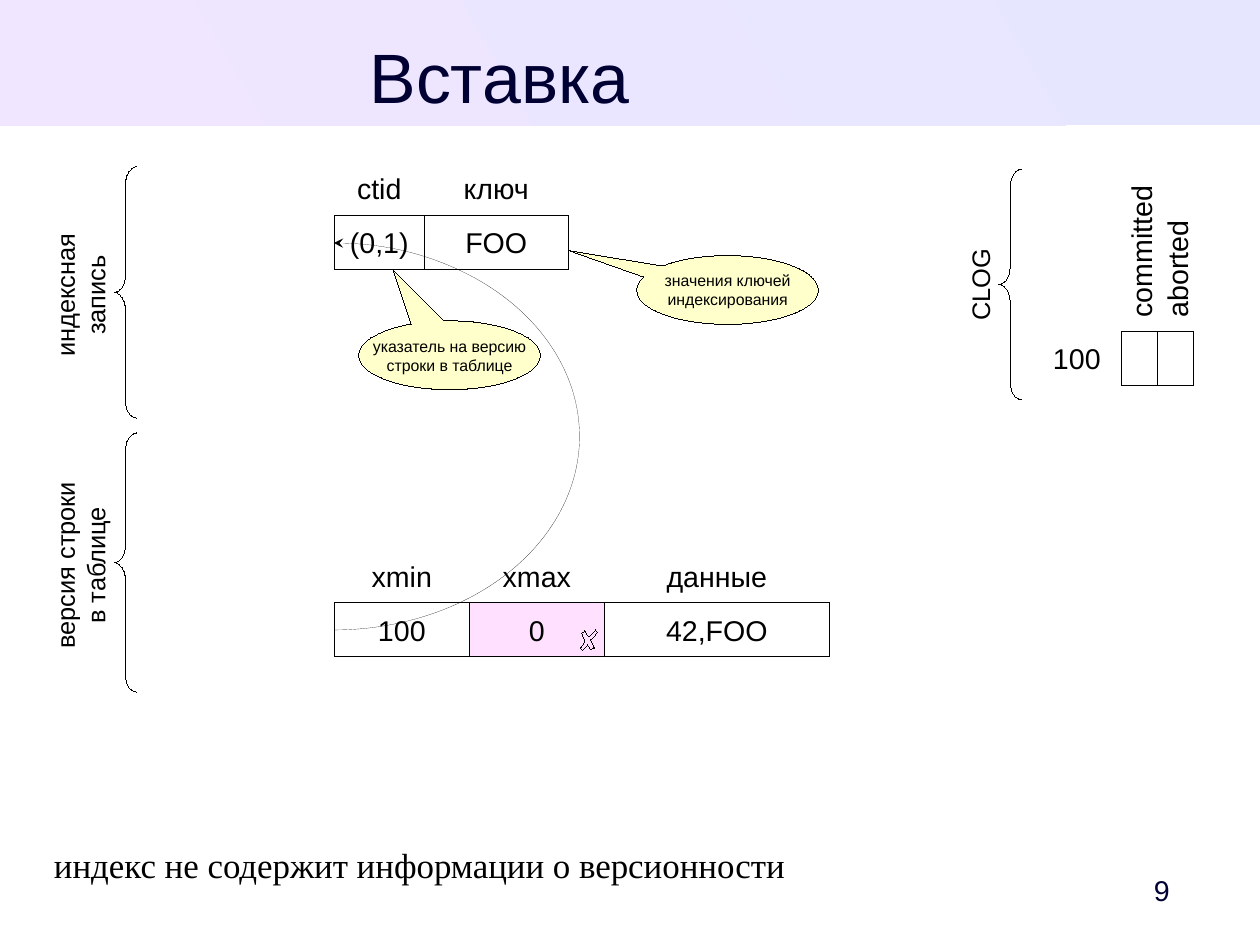
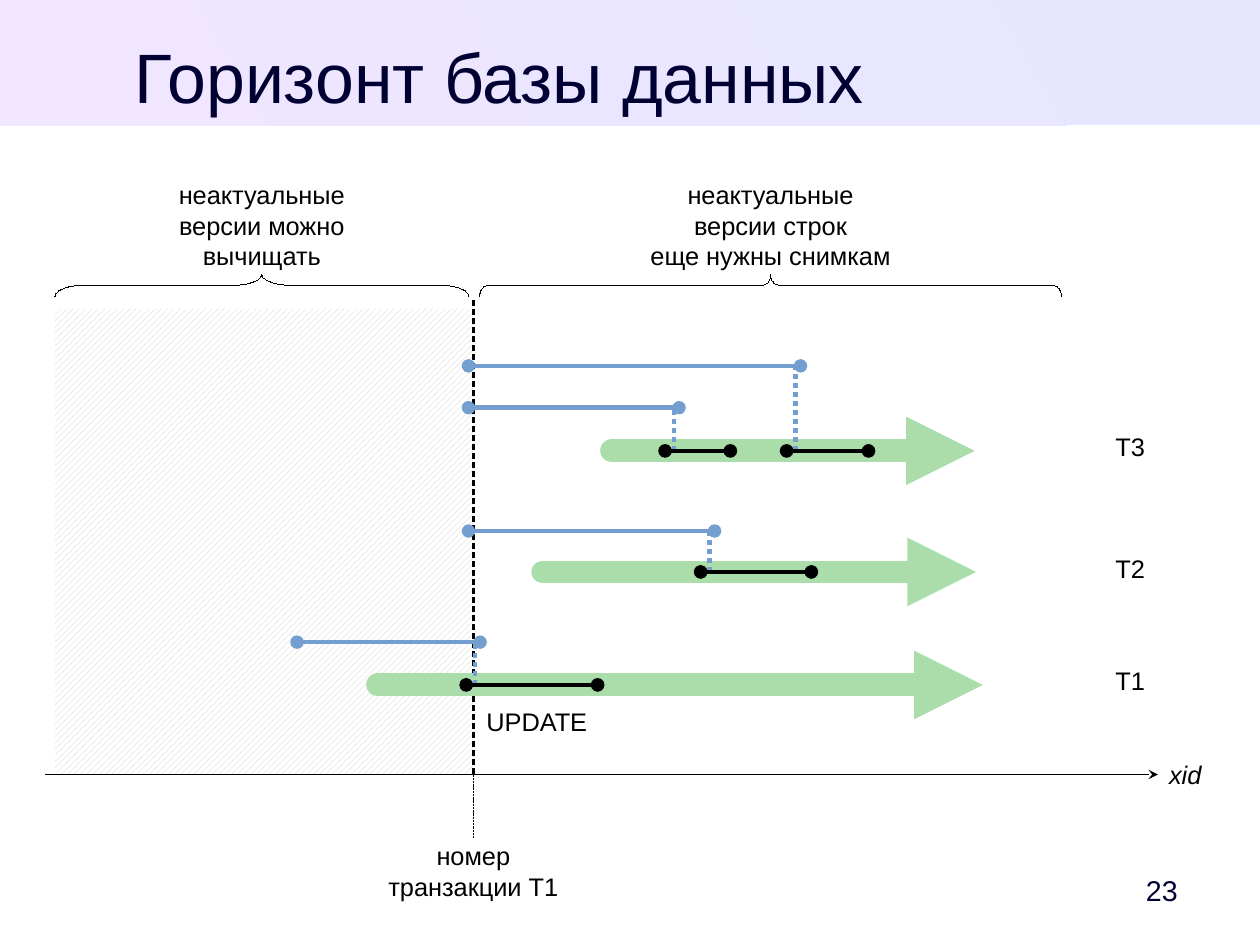
import pptx
import pptx.util
import pptx.dml.color
import pptx.enum.dml
import pptx.enum.shapes
import pptx.enum.text
import pptx.oxml.ns
import lxml.etree

SHAPE = pptx.enum.shapes.MSO_SHAPE
ALIGN = pptx.enum.text.PP_ALIGN
DASH = pptx.enum.dml.MSO_LINE

# Shared look: a grid of 28 columns and 21 rows, colours, text formats
WIDTH, HEIGHT = pptx.util.Cm(28), pptx.util.Cm(21)
COL, ROW = WIDTH / 28, HEIGHT / 21
HAIRLINE = 0.01
COLORS = {
    "ink": "000000", "title": "000033", "paper": "FFFFFF",
    "band_right": "E6E6FF", "band_left": "F0E6FF",
    "unset": "FFE1FF", "callout": "FFFFCC",
    "transaction": "AADDAA", "snapshot": "729FCF", "hatch": "CCCCCC",
}
FORMATS = {
    "title": {"name": "Arial", "size": pptx.util.Pt(44)},
    "cell": {"name": "Arial", "size": pptx.util.Pt(18)},
    "label": {"name": "Arial", "size": pptx.util.Pt(16)},
    "axis": {"name": "Arial", "size": pptx.util.Pt(16), "italic": True},
    "callout": {"name": "Arial", "size": pptx.util.Pt(10)},
    "remark": {"name": "Times New Roman", "size": pptx.util.Pt(22)},
}
FRAME = {
    "margin_left": 0, "margin_right": 0, "margin_top": 0, "margin_bottom": 0,
    "word_wrap": False, "vertical_anchor": pptx.enum.text.MSO_ANCHOR.MIDDLE,
}


def rgb(color):
    return pptx.dml.color.RGBColor.from_string(COLORS[color])


def frame(at, turn=0):
    """Turn a visible rectangle in columns and rows into the unrotated frame."""
    left, top, width, height = at[0] * COL, at[1] * ROW, at[2] * COL, at[3] * ROW
    if turn in (90, 270):
        left, top = left + (width - height) / 2, top + (height - width) / 2
        width, height = height, width
    return [round(length) for length in (left, top, width, height)]


def write(shape, text, style, color="ink", align=ALIGN.CENTER):
    for name, value in FRAME.items():
        setattr(shape.text_frame, name, value)
    shape.text_frame.text = text
    for paragraph in shape.text_frame.paragraphs:
        paragraph.alignment = align
        for run in paragraph.runs:
            for name, value in FORMATS[style].items():
                setattr(run.font, name, value)
            run.font.color.rgb = rgb(color)


def label(slide, text, at, style="label", color="ink", align=ALIGN.CENTER, turn=0):
    box = slide.shapes.add_textbox(*frame(at, turn))
    box.rotation = turn
    write(box, text, style, color, align)
    return box


def figure(slide, kind, at, fill=None, line="ink", adjust=(), turn=0):
    shape = slide.shapes.add_shape(kind, *frame(at, turn))
    shape.rotation = turn
    for index, value in enumerate(adjust):
        shape.adjustments[index] = value
    return paint(shape, fill, line)


def paint(shape, fill, line):
    shape.shadow.inherit = False
    if fill:
        shape.fill.solid()
        shape.fill.fore_color.rgb = rgb(fill)
    else:
        shape.fill.background()
    if line:
        shape.line.color.rgb = rgb(line)
        shape.line.width = pptx.util.Pt(HAIRLINE)
    else:
        shape.line.fill.background()
    return shape


def end_marks(shape, **ends):
    outline = shape.element.spPr.find(pptx.oxml.ns.qn("a:ln"))
    for end in ("headEnd", "tailEnd"):
        if end in ends:
            mark = lxml.etree.SubElement(outline, pptx.oxml.ns.qn("a:" + end))
            mark.set("type", ends[end])
    return outline


def stroke(slide, start, end, color="ink", width=HAIRLINE, dash=None, cap="flat", **ends):
    line = slide.shapes.add_connector(
        pptx.enum.shapes.MSO_CONNECTOR.STRAIGHT,
        round(start[0] * COL), round(start[1] * ROW),
        round(end[0] * COL), round(end[1] * ROW))
    line.line.color.rgb = rgb(color)
    line.line.width = pptx.util.Pt(width)
    if dash:
        line.line.dash_style = dash
    end_marks(line, **ends).set("cap", cap)
    lxml.etree.SubElement(line.element.spPr, pptx.oxml.ns.qn("a:effectLst"))
    return line


def add_band(layout, slide):
    """Draw the title band and hand it to the layout that all slides use."""
    band = figure(slide, SHAPE.RECTANGLE, (0, 0, 28, 2.79), line=None)
    band.fill.gradient()
    band.fill.gradient_angle = 210
    for stop, color in zip(band.fill.gradient_stops, ("band_right", "band_left")):
        stop.color.rgb = rgb(color)
    band.element.nvSpPr.cNvPr.set("id", "50")
    layout.shapes.element.append(band.element)


def add_heading(slide, title, number):
    label(slide, title, (1.2, 0.8, 19.8, 1.75), "title", "title")
    label(slide, number, (24.72, 19.18, 2.2, 1.2), "cell", "title")


def add_record(slide, left, top, fields):
    """A row of cells with the field names above them."""
    row = 1.2
    for name, value, width, name_width, fill in fields:
        label(slide, name, (left + (width - name_width) / 2, top, name_width, row), "cell")
        cell = figure(slide, SHAPE.RECTANGLE, (left, top + row, width, row), fill)
        write(cell, value, "cell")
        left += width


def add_side_brace(slide, text, left, top, height, text_left, text_drop):
    figure(slide, SHAPE.LEFT_BRACE, (left, top, 0.5, height), adjust=(0.8, 0.5))
    label(slide, text, (text_left, top + text_drop, 1.6, height), turn=270)


def add_top_brace(slide, text, left, width, curve):
    figure(slide, SHAPE.LEFT_BRACE, (left, 6.09, width, 0.5), adjust=(curve, 0.5), turn=90)
    label(slide, text, (left, 3.95, width, 2.1))


def add_insert(slide):
    # Index entry and row version
    add_record(slide, 7.43, 3.59, [
        ("ctid", "(0,1)", 2, 2, "paper"), ("ключ", "FOO", 3.2, 3.2, "paper")])
    add_record(slide, 7.43, 12.2, [
        ("xmin", "100", 3, 2, "paper"), ("xmax", "0", 3, 2, "unset"),
        ("данные", "42,FOO", 5, 4, "paper")])

    # Pointer from the index entry to the row version
    pointer = figure(slide, SHAPE.ARC, (1.96, 5.4, 10.92, 8.6), adjust=(162, 54))
    end_marks(pointer, headEnd="stealth")

    # Transaction status bits
    label(slide, "100", (22.93, 7.36, 2, 1.2), "cell")
    for index, status in enumerate(("committed", "aborted")):
        left = 24.93 + 0.8 * index
        figure(slide, SHAPE.RECTANGLE, (left, 7.36, 0.8, 1.2), "paper")
        label(slide, status, (left + 0.02, 3.88, 0.8, 3.17), "cell", align=ALIGN.LEFT, turn=270)

    # Braces on both sides
    for brace in (("индексная\nзапись", 2.54, 3.7, 5.59, 0.98, 0.06),
                  ("версия строки\nв таблице", 2.54, 9.62, 5.76, 0.98, 0.06),
                  ("CLOG", 22.2, 3.76, 5.12, 20.98, 0)):
        add_side_brace(slide, *brace)

    # Callouts
    for text, left, top, tip in (
            ("указатель на версию\nстроки в таблице", 7.97, 7.13, (-0.31, -1.24)),
            ("значения ключей\nиндексирования", 14.15, 5.68, (-0.87, -0.57))):
        callout = figure(slide, SHAPE.OVAL_CALLOUT, (left, top, 4.04, 1.53), "callout", adjust=tip)
        write(callout, text, "callout")

    # Cross in the xmax cell
    cross = [(13.28, 14.05), (13.23, 14), (13.08, 14.15), (13, 14.02), (12.93, 14.07),
             (13, 14.25), (12.9, 14.4), (12.95, 14.45), (13.06, 14.33), (13.13, 14.43),
             (13.21, 14.4), (13.13, 14.22)]
    corners = [(round(x * COL), round(y * ROW)) for x, y in cross]
    outline = slide.shapes.build_freeform(*corners[0])
    outline.add_line_segments(corners[1:], close=True)
    paint(outline.convert_to_shape(), "unset", "ink")

    label(slide, "индекс не содержит информации о версионности",
          (1.2, 18.76, 16.3, 0.9), "remark", align=ALIGN.LEFT)


def add_transaction(slide, name, row, start, end, statements):
    stroke(slide, (start, row), (end, row), "transaction", 14.4, cap="rnd", tailEnd="triangle")
    label(slide, name, (24.3, row - 0.64, 1.63, 1.1))
    for first, last, snapshot_row, oldest in statements:
        taken = first + 0.2
        stroke(slide, (taken, row), (taken, snapshot_row), "snapshot", 2.83, DASH.ROUND_DOT)
        stroke(slide, (oldest, snapshot_row), (taken + 0.11, snapshot_row),
               "snapshot", 2.83, headEnd="oval", tailEnd="oval")
        stroke(slide, (first, row), (last, row), width=2.89, headEnd="oval", tailEnd="oval")


def add_horizon(slide):
    horizon, axis_row = 10.52, 17.21

    # Area that can be cleaned
    cleaned = figure(slide, SHAPE.RECTANGLE, (1.22, 6.86, horizon - 1.22, axis_row - 6.86), line=None)
    cleaned.fill.patterned()
    cleaned.fill.pattern = pptx.enum.dml.MSO_PATTERN.WIDE_UPWARD_DIAGONAL
    cleaned.fill.fore_color.rgb = rgb("hatch")
    cleaned.fill.back_color.rgb = rgb("paper")
    add_top_brace(slide, "неактуальные\nверсии можно\nвычищать", 1.22, 9.2, 1.25)
    add_top_brace(slide, "неактуальные\nверсии строк\nеще нужны снимкам", 10.66, 12.93, 0.36)

    # Axis and horizon
    axis_name = label(slide, "xid", (25.73, axis_row - 0.45, 1.22, 0.9), "axis")
    axis = stroke(slide, (1, axis_row), (25.73, axis_row), tailEnd="stealth")
    axis.end_connect(axis_name, 1)
    stroke(slide, (horizon, axis_row), (horizon, 6.62), width=1.42, dash=DASH.SQUARE_DOT)
    first_number = label(slide, "номер\nтранзакции T1", (horizon - 2.15, 18.62, 4.3, 1.46))
    drop = stroke(slide, (horizon, axis_row), (horizon, 18.62), width=0.5, dash=DASH.SQUARE_DOT)
    drop.end_connect(first_number, 0)

    # Transactions: statements as first, last, snapshot row, oldest visible
    oldest = 10.41
    for transaction in (
            ("T1", 15.22, 8.39, 21.84, [(10.36, 13.28, 14.27, 6.6)]),
            ("T2", 12.71, 12.06, 21.69, [(15.57, 18.03, 11.8, oldest)]),
            ("T3", 10.02, 13.59, 21.66, [(14.78, 16.23, 9.06, oldest),
                                         (17.48, 19.3, 8.13, oldest)])):
        add_transaction(slide, *transaction)
    label(slide, "UPDATE", (10.56, 15.51, 2.74, 1.04))


def main():
    deck = pptx.Presentation()
    deck.slide_width, deck.slide_height = WIDTH, HEIGHT
    blank = deck.slide_layouts[6]
    pages = (("Вставка", "9", add_insert), ("Горизонт базы данных", "23", add_horizon))
    for index, (title, number, add_content) in enumerate(pages):
        slide = deck.slides.add_slide(blank)
        if index == 0:
            add_band(blank, slide)
        add_heading(slide, title, number)
        add_content(slide)
    deck.save("out.pptx")


if __name__ == "__main__":
    main()
